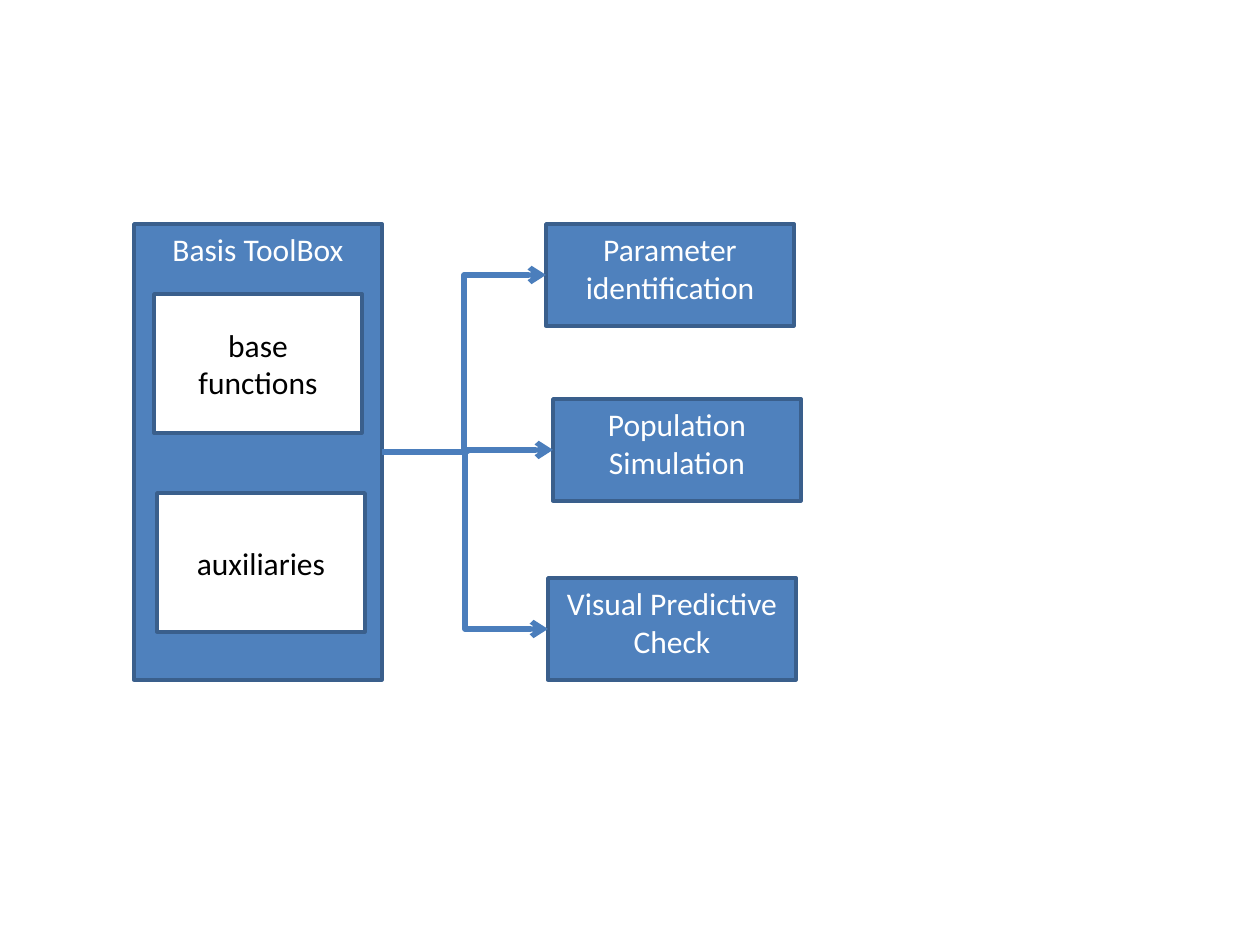
from dataclasses import dataclass

from lxml.etree import SubElement
from pptx import Presentation
from pptx.dml.color import RGBColor
from pptx.enum.shapes import MSO_CONNECTOR as CONNECTOR, MSO_SHAPE as SHAPE
from pptx.enum.text import MSO_ANCHOR as ANCHOR, PP_ALIGN as ALIGN
from pptx.oxml.ns import qn
from pptx.util import Inches, Pt


@dataclass(frozen=True)
class Theme:
    blue: RGBColor = RGBColor.from_string("4F81BD")
    border: RGBColor = RGBColor.from_string("3A5F8C")
    arrow: RGBColor = RGBColor.from_string("4B7EBC")
    white: RGBColor = RGBColor.from_string("FFFFFF")
    black: RGBColor = RGBColor.from_string("000000")
    font: str = "Calibri"
    size: int = 18
    border_width: int = 2
    arrow_width: int = 3


THEME = Theme()
PX_PER_INCH = 126
SLIDE_SIZE = (1260, 945)
TOOLBOX = ("Basis ToolBox", 134, 224)
TOOLBOX_SIZE = (248, 456)
PARTS = [("base functions", 154, 294), ("auxiliaries", 157, 493)]
PART_SIZE = (208, 139)
APPLICATIONS = [
    ("Parameter identification", 546, 224),
    ("Population Simulation", 553, 399),
    ("Visual Predictive Check", 548, 578),
]
APPLICATION_SIZE = (248, 102)
LEFT_SITE, RIGHT_SITE = 1, 3


def px(length):
    return round(length * Inches(1) / PX_PER_INCH)


def write(frame, text, *, color, anchor):
    frame.word_wrap = True
    frame.vertical_anchor = anchor
    paragraph = frame.paragraphs[0]
    paragraph.alignment = ALIGN.CENTER
    run = paragraph.add_run()
    run.text = text
    run.font.name = THEME.font
    run.font.size = Pt(THEME.size)
    run.font.color.rgb = color


def add_box(slide, content, size, *, fill=THEME.blue, color=THEME.white, anchor=ANCHOR.TOP):
    text, left, top = content
    box = slide.shapes.add_shape(SHAPE.RECTANGLE, *map(px, (left, top, *size)))
    box.shadow.inherit = False
    box.fill.solid()
    box.fill.fore_color.rgb = fill
    box.line.color.rgb = THEME.border
    box.line.width = Pt(THEME.border_width)
    write(box.text_frame, text, color=color, anchor=anchor)
    return box


def add_arrow(slide, source, target):
    arrow = slide.shapes.add_connector(CONNECTOR.ELBOW, 0, 0, 0, 0)
    arrow.begin_connect(source, RIGHT_SITE)
    arrow.end_connect(target, LEFT_SITE)
    arrow.line.color.rgb = THEME.arrow
    arrow.line.width = Pt(THEME.arrow_width)
    SubElement(arrow.line._get_or_add_ln(), qn("a:tailEnd"), type="arrow")
    SubElement(arrow._element.spPr, qn("a:effectLst"))


def main():
    deck = Presentation()
    deck.slide_width, deck.slide_height = map(px, SLIDE_SIZE)
    slide = deck.slides.add_slide(deck.slide_layouts[6])
    toolbox = add_box(slide, TOOLBOX, TOOLBOX_SIZE)
    for part in PARTS:
        add_box(slide, part, PART_SIZE, fill=THEME.white, color=THEME.black, anchor=ANCHOR.MIDDLE)
    applications = [add_box(slide, item, APPLICATION_SIZE) for item in APPLICATIONS]
    for application in applications:
        add_arrow(slide, toolbox, application)
    deck.save("out.pptx")


if __name__ == "__main__":
    main()
